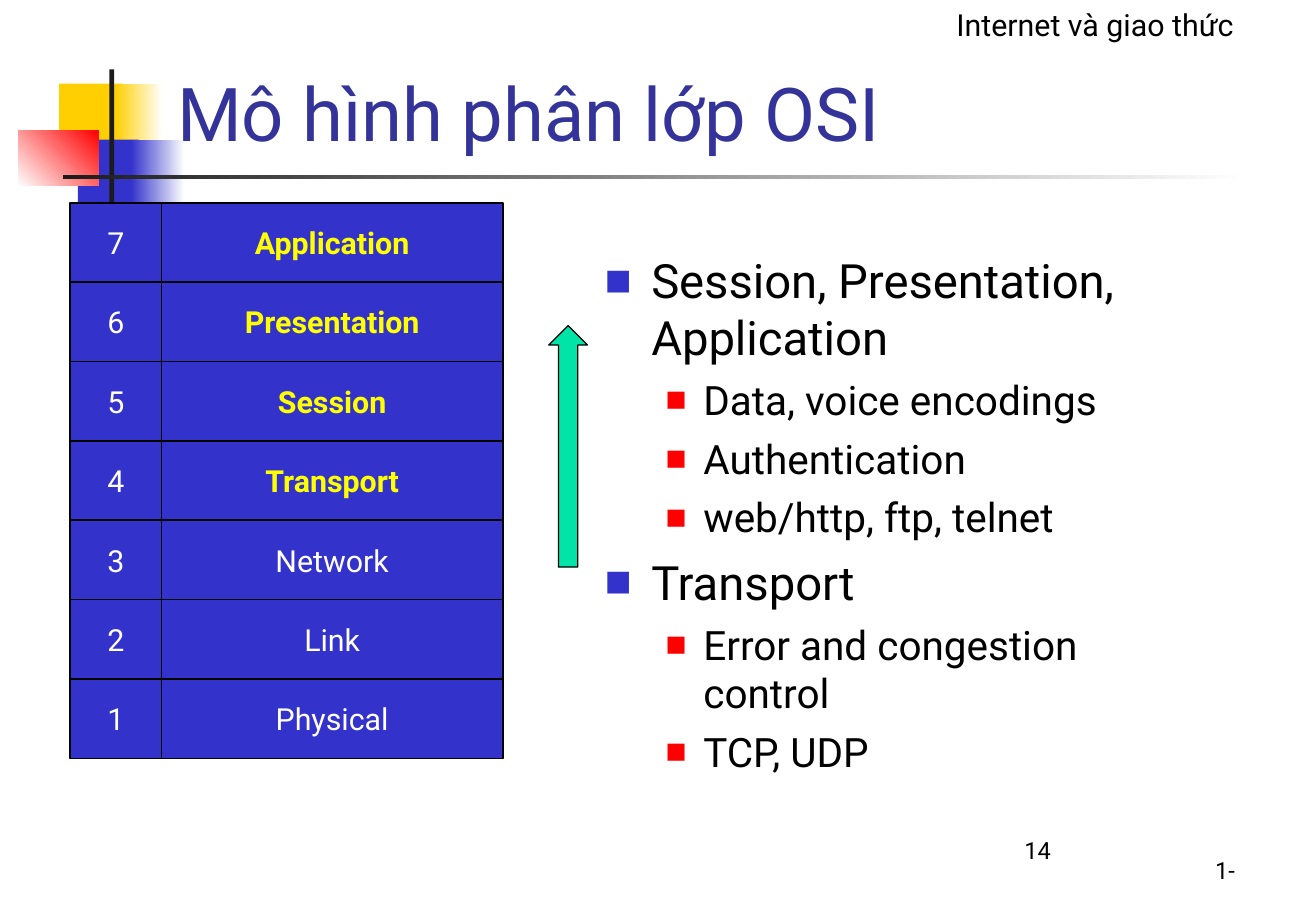
from lxml import etree
from pptx import Presentation
from pptx.dml.color import RGBColor
from pptx.enum.shapes import MSO_SHAPE
from pptx.enum.text import MSO_ANCHOR, MSO_AUTO_SIZE, PP_ALIGN
from pptx.oxml.ns import qn
from pptx.util import Cm, Pt

RECT, UP_ARROW = MSO_SHAPE.RECTANGLE, MSO_SHAPE.UP_ARROW
TOP, MIDDLE, BOTTOM = MSO_ANCHOR.TOP, MSO_ANCHOR.MIDDLE, MSO_ANCHOR.BOTTOM
LEFT, CENTER = PP_ALIGN.LEFT, PP_ALIGN.CENTER
NO_FIT = MSO_AUTO_SIZE.NONE

FONT = "Roboto"
COLORS = {
    "black": "000000", "white": "FFFFFF", "ink": "1C1C1C",
    "gold": "FFCF01", "blue": "3333CC", "red": "FF0000",
    "title": "333399", "yellow": "FFFF00", "green": "00E4A8",
}

MOTIF = [
    ((1.24, 1.75, 1.32, 1.32), ("gold",), 0),
    ((2.41, 1.75, 0.99, 1.32), ("gold", "white"), 0),
    ((1.63, 2.92, 1.27, 1.32), ("blue",), 0),
    ((2.74, 2.92, 1.12, 1.32), ("blue", "white"), 0),
    ((0.38, 2.72, 1.68, 1.17), ("white", "red"), 45),
    ((2.29, 1.45, 0.1, 2.92), ("ink",), 0),
    ((1.32, 3.66, 24.77, 0.08), ("ink", "white"), 0),
]
LAYERS = ["Application", "Presentation", "Session", "Transport",
          "Network", "Link", "Physical"]
HIGHLIGHTED = LAYERS[:4]
BULLETS = [
    (0, "Session, Presentation, Application"),
    (1, "Data, voice encodings"),
    (1, "Authentication"),
    (1, "web/http, ftp, telnet"),
    (0, "Transport"),
    (1, "Error and congestion control"),
    (1, "TCP, UDP"),
]
LEVELS = [
    {"size": 28, "before": 7, "margin": 0.97, "hang": 0.97, "color": "blue", "pct": 60},
    {"size": 24, "before": 6, "margin": 2.06, "hang": 0.79, "color": "red", "pct": 55},
]


def rgb(name):
    """Return the named colour."""
    return RGBColor.from_string(COLORS[name])


def write(p, text, size=18, color="black", bold=False, align=LEFT):
    """Put one formatted run in a paragraph."""
    p.alignment = align
    r = p.add_run()
    r.text = text
    r.font.name = FONT
    r.font.size = Pt(size)
    r.font.bold = bold
    r.font.color.rgb = rgb(color)


def place(sp, box):
    """Move and size a shape, in centimetres."""
    sp.left, sp.top, sp.width, sp.height = map(Cm, box)


def add_block(shapes, box, colors, angle=0, kind=RECT, line=None):
    """Add a preset shape with a plain or two-colour gradient fill."""
    sp = shapes.add_shape(kind, *map(Cm, box))
    sp.shadow.inherit = False
    if len(colors) == 1:
        sp.fill.solid()
        sp.fill.fore_color.rgb = rgb(colors[0])
    else:
        sp.fill.gradient()
        sp.fill.gradient_angle = angle
        for stop, color in zip(sp.fill.gradient_stops, colors):
            stop.color.rgb = rgb(color)
    if line:
        sp.line.color.rgb = rgb("black")
        sp.line.width = Pt(line)
    else:
        sp.line.fill.background()
    return sp


def add_label(s, box, text, **fmt):
    """Add a text box with one paragraph."""
    tf = s.shapes.add_textbox(*map(Cm, box)).text_frame
    tf.word_wrap = True
    write(tf.paragraphs[0], text, **fmt)


def add_cell(shapes, box, text, **fmt):
    """Add one outlined cell of the layer stack."""
    tf = add_block(shapes, box, ("blue",), line=1).text_frame
    tf.word_wrap = False
    tf.vertical_anchor = MIDDLE
    write(tf.paragraphs[0], text, align=CENTER, **fmt)


def add_stack(s, left=1.47, top=4.24, number_w=1.91, name_w=7.14, row_h=1.66):
    """Add the numbered layers as a group, highest first."""
    shapes = s.shapes.add_group_shape().shapes
    for i, name in enumerate(LAYERS):
        y = top + i * row_h
        bold = name in HIGHLIGHTED
        add_cell(shapes, (left, y, number_w, row_h), str(len(LAYERS) - i), color="white")
        add_cell(shapes, (left + number_w, y, name_w, row_h), name,
                 color="yellow" if bold else "white", bold=bold)


def set_bullet(p, level):
    """Give a paragraph its square bullet and hanging indent."""
    pPr = p._p.get_or_add_pPr()
    pPr.set("marL", str(Cm(level["margin"])))
    pPr.set("indent", str(-Cm(level["hang"])))
    clr = etree.SubElement(pPr, qn("a:buClr"))
    etree.SubElement(clr, qn("a:srgbClr"), val=COLORS[level["color"]])
    etree.SubElement(pPr, qn("a:buSzPct"), val=str(level["pct"] * 1000))
    etree.SubElement(pPr, qn("a:buFont"), typeface=FONT)
    etree.SubElement(pPr, qn("a:buChar"), char="■")


def fill_title(sp):
    """Fill the title placeholder."""
    place(sp, (3.45, 0.58, 23.44, 2.82))
    tf = sp.text_frame
    tf.auto_size = NO_FIT
    tf.vertical_anchor = BOTTOM
    write(tf.paragraphs[0], "Mô hình phân lớp OSI", size=44, color="title")


def fill_body(sp):
    """Fill the body placeholder with the two-level list."""
    place(sp, (12.4, 5.13, 12.9, 11.35))
    tf = sp.text_frame
    tf.auto_size = NO_FIT
    tf.vertical_anchor = TOP
    for i, (depth, text) in enumerate(BULLETS):
        p = tf.add_paragraph() if i else tf.paragraphs[0]
        level = LEVELS[depth]
        p.level = depth
        p.space_before = Pt(level["before"] if i else 0)
        set_bullet(p, level)
        write(p, text, size=level["size"])


def main():
    """Build the slide and save it."""
    prs = Presentation()
    prs.slide_width, prs.slide_height = Cm(27.53), Cm(19.05)
    s = prs.slides.add_slide(prs.slide_layouts[1])
    for box, colors, angle in MOTIF:
        add_block(s.shapes, box, colors, angle)
    title, body = s.placeholders
    for sp in (title, body):
        s.shapes._spTree.append(sp._element)
    fill_title(title)
    fill_body(body)
    add_label(s, (19.76, 0, 6.76, 1.02), "Internet và giao thức")
    add_label(s, (25.17, 17.78, 1.09, 0.86), "1-", size=14)
    add_label(s, (21.18, 17.35, 5.74, 1.27), "14", size=14)
    add_block(s.shapes, (11.48, 6.81, 0.81, 5.05), ("green",), kind=UP_ARROW, line=0.75)
    add_stack(s)
    prs.save("out.pptx")


if __name__ == "__main__":
    main()
